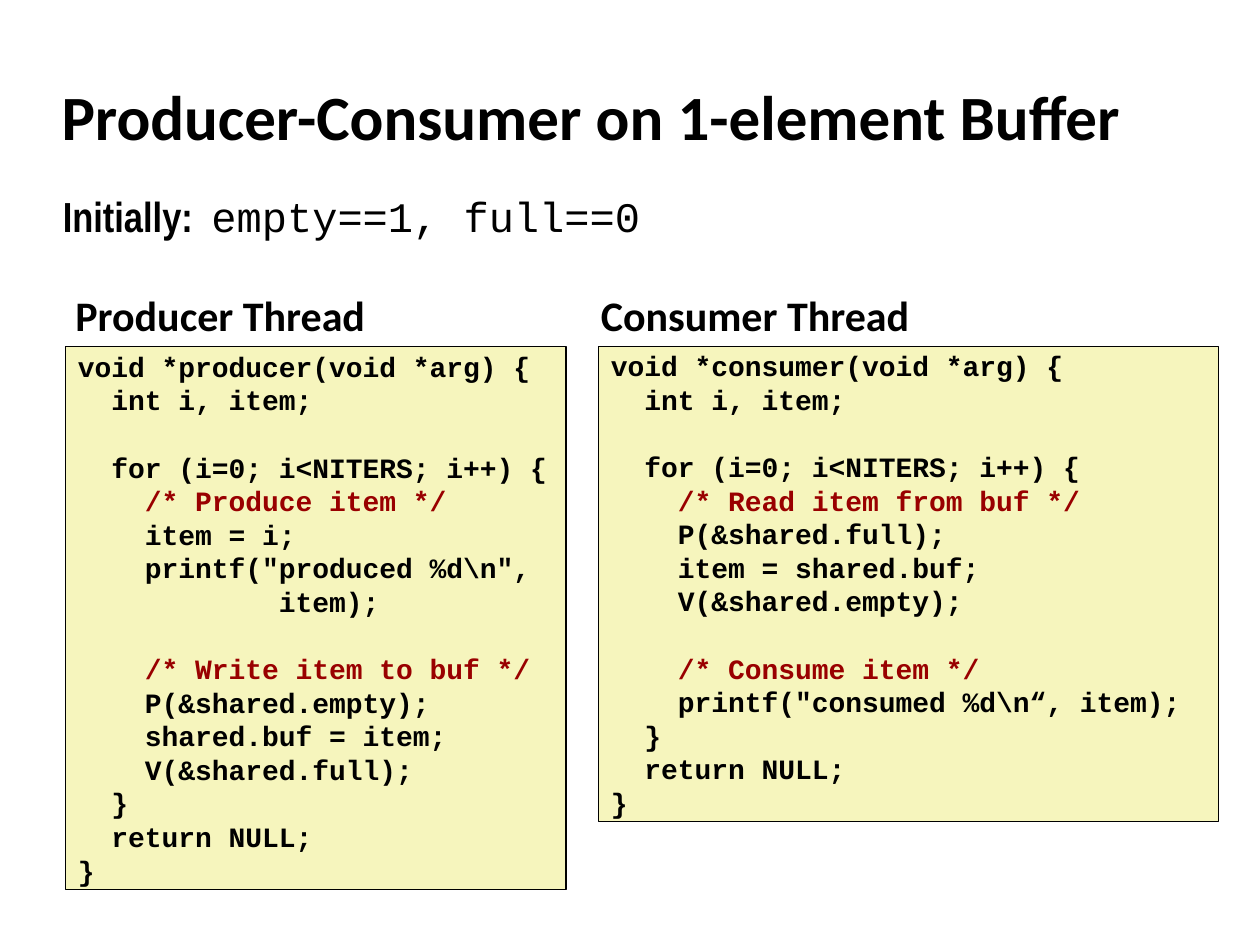
from lxml.etree import SubElement
from pptx import Presentation
from pptx.dml.color import RGBColor
from pptx.enum.shapes import MSO_SHAPE
from pptx.enum.text import MSO_ANCHOR, MSO_AUTO_SIZE, PP_ALIGN
from pptx.oxml.ns import qn
from pptx.util import Inches, Pt

BLACK = RGBColor(0x00, 0x00, 0x00)
CREAM = RGBColor(0xF6, 0xF5, 0xBD)
DARK_RED = RGBColor(0x99, 0x00, 0x00)
CODE_FONT = "Courier New"

PRODUCER = r'''void *producer(void *arg) {
  int i, item;

  for (i=0; i<NITERS; i++) {
    /* Produce item */
    item = i;
    printf("produced %d\n",
            item);

    /* Write item to buf */
    P(&shared.empty);
    shared.buf = item;
    V(&shared.full);
  }
  return NULL;
}'''
CONSUMER = r'''void *consumer(void *arg) {
  int i, item;

  for (i=0; i<NITERS; i++) {
    /* Read item from buf */
    P(&shared.full);
    item = shared.buf;
    V(&shared.empty);

    /* Consume item */
    printf("consumed %d\n“, item);
  }
  return NULL;
}'''

deck = Presentation()
deck.slide_width, deck.slide_height = Inches(10), Inches(7.5)
COL, ROW = deck.slide_width / 100, deck.slide_height / 75
slide = deck.slides.add_slide(deck.slide_layouts[6])


def area(left, top, width, height):
    return round(left * COL), round(top * ROW), round(width * COL), round(height * ROW)


def style(font, name, size, bold=True, color=BLACK):
    font.name, font.size, font.bold = name, Pt(size), bold
    font.color.rgb = color


headings = [
    ("Producer-Consumer on 1-element Buffer", 36, area(3.9, 5, 90.3, 8.3)),
    ("Producer Thread", 24, area(5, 22.5, 25.2, 5)),
    ("Consumer Thread", 24, area(46.7, 22.5, 26.7, 5)),
]
for words, size, place in headings:
    heading = slide.shapes.add_textbox(*place).text_frame
    heading.word_wrap = True
    heading.vertical_anchor = MSO_ANCHOR.MIDDLE
    heading.text = words
    style(heading.paragraphs[0].font, "Calibri", size)

initial_state = slide.shapes.add_textbox(*area(4, 15.1, 49.2, 4)).text_frame
initial_state.word_wrap = True
initial_state.vertical_anchor = MSO_ANCHOR.MIDDLE
initial_state.margin_top = initial_state.margin_bottom = 0
state_line = initial_state.paragraphs[0]
tab_stops = SubElement(state_line._p.get_or_add_pPr(), qn("a:tabLst"))
SubElement(tab_stops, qn("a:tab"), pos=str(round(11.8 * COL)), algn="l")
for words, name, bold in [("Initially:\t", "Arial Narrow", True),
                          ("empty==1, full==0", CODE_FONT, False)]:
    part = state_line.add_run()
    part.text = words
    style(part.font, name, 24, bold)

for code, place in [(PRODUCER, area(5.2, 27.5, 39.7, 43.1)),
                    (CONSUMER, area(47.5, 27.5, 49.2, 37.7))]:
    panel = slide.shapes.add_shape(MSO_SHAPE.RECTANGLE, *place)
    panel.shadow.inherit = False
    panel.fill.solid()
    panel.fill.fore_color.rgb = CREAM
    panel.line.color.rgb = BLACK
    panel.line.width = Pt(1)
    listing = panel.text_frame
    listing.word_wrap = True
    listing.auto_size = MSO_AUTO_SIZE.SHAPE_TO_FIT_TEXT
    listing.vertical_anchor = MSO_ANCHOR.MIDDLE
    listing.margin_top = listing.margin_bottom = 0
    listing.text = code
    for line in listing.paragraphs:
        line.alignment = PP_ALIGN.LEFT
        is_comment = line.text.lstrip().startswith("/*")
        style(line.font, CODE_FONT, 16, color=DARK_RED if is_comment else BLACK)
        if not line.text:
            blank = SubElement(line._p, qn("a:endParaRPr"), sz="1600", b="1")
            SubElement(blank, qn("a:latin"), typeface=CODE_FONT)

deck.save("out.pptx")
